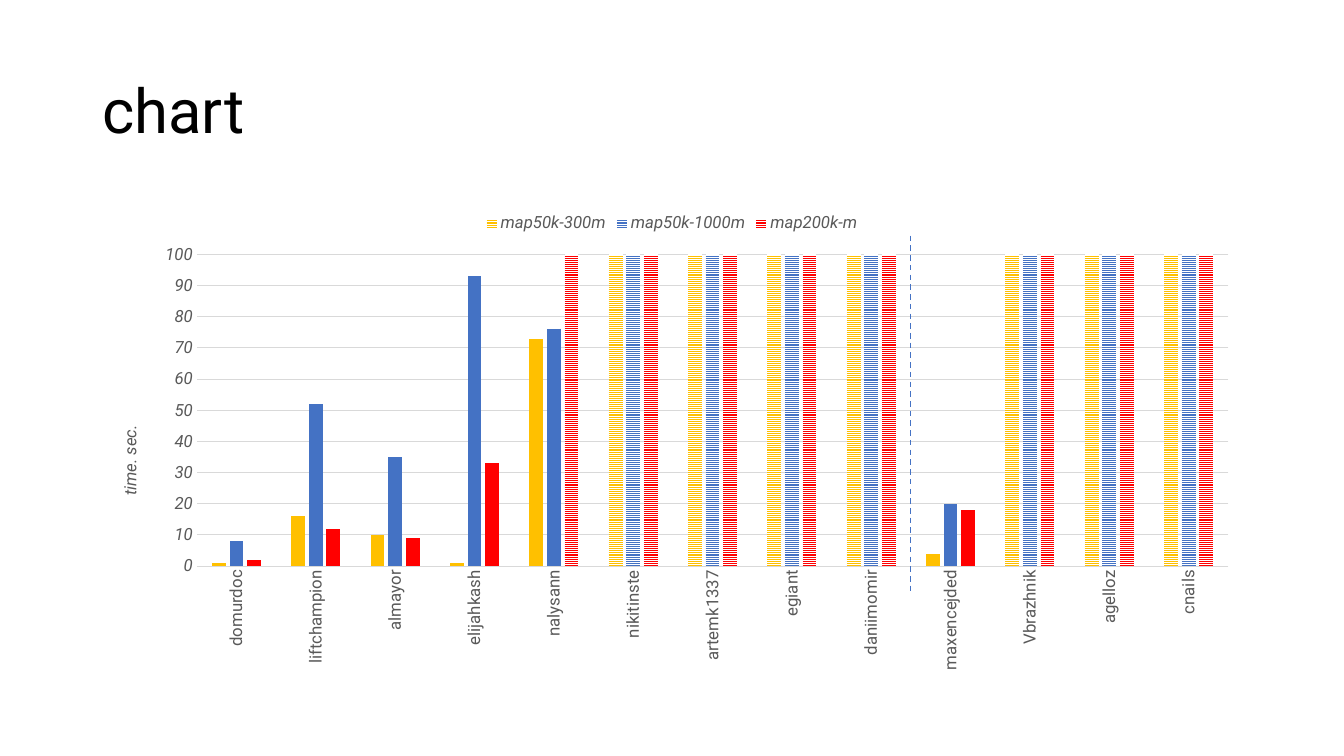
"""Builds a slide with a clustered column chart of solving times per map."""
from lxml import etree
from pptx import Presentation
from pptx.chart.data import CategoryChartData
from pptx.dml.color import RGBColor
from pptx.enum.chart import XL_CHART_TYPE, XL_LEGEND_POSITION, XL_TICK_MARK
from pptx.enum.dml import MSO_LINE, MSO_PATTERN
from pptx.enum.shapes import MSO_CONNECTOR
from pptx.enum.text import MSO_ANCHOR
from pptx.oxml.ns import qn
from pptx.util import Cm, Pt

COLUMN = XL_CHART_TYPE.COLUMN_CLUSTERED
TOP = XL_LEGEND_POSITION.TOP
NONE = XL_TICK_MARK.NONE
STRIPES = MSO_PATTERN.LIGHT_HORIZONTAL
DASH = MSO_LINE.DASH
STRAIGHT = MSO_CONNECTOR.STRAIGHT
MIDDLE = MSO_ANCHOR.MIDDLE

FACE = "Roboto"
LIMIT = 120
COLORS = {"black": "000000", "white": "FFFFFF", "text": "595959", "grid": "D9D9D9",
          "yellow": "FFC000", "blue": "4472C4", "red": "FF0000"}
RGB = {name: RGBColor.from_string(code) for name, code in COLORS.items()}


def style(font, size, color, italic=False):
    for key, value in {"name": FACE, "size": Pt(size), "bold": False, "italic": italic}.items():
        setattr(font, key, value)
    font.color.rgb = RGB[color]


def place(part, spot, **sizes):
    layout = part.find(qn("c:layout"))
    if layout is None:
        layout = etree.Element(qn("c:layout"))
        part.insert(spot, layout)
    manual = etree.SubElement(layout, qn("c:manualLayout"))
    if "w" in sizes:
        etree.SubElement(manual, qn("c:layoutTarget")).set("val", "inner")
    for key in ("x", "y"):
        etree.SubElement(manual, qn(f"c:{key}Mode")).set("val", "edge")
    for key, value in sizes.items():
        etree.SubElement(manual, qn(f"c:{key}")).set("val", str(value))


deck = Presentation()
deck.slide_width, deck.slide_height = Cm(33.87), Cm(19.05)
slide = deck.slides.add_slide(deck.slide_layouts[6])

title = slide.shapes.add_textbox(Cm(2.33), Cm(1.02), Cm(29.21), Cm(3.68)).text_frame
title.word_wrap = True
title.vertical_anchor = MIDDLE
para = title.paragraphs[0]
para.line_spacing = 0.9
run = para.add_run()
run.text = "chart"
style(run.font, 44, "black")

data = CategoryChartData()
data.categories = ["domurdoc", "liftchampion", "almayor", "elijahkash", "nalysann",
                   "nikitinste", "artemk1337", "egiant", "daniimomir", "maxencejded",
                   "Vbrazhnik", "agelloz", "cnails"]
failed = [LIMIT] * 4
last = [LIMIT] * 3
data.add_series("map50k-300m", [1, 16, 10, 1, 73, *failed, 4, *last])
data.add_series("map50k-1000m", [8, 52, 35, 93, 76, *failed, 20, *last])
data.add_series("map200k-m", [2, 12, 9, 33, LIMIT, *failed, 18, *last])
chart = slide.shapes.add_chart(COLUMN, Cm(2.33), Cm(5.08), Cm(29.21), Cm(12.09), data).chart
chart.has_title = False
style(chart.font, 12, "black")
chart.has_legend = True
chart.legend.position = TOP
chart.legend.include_in_layout = False
style(chart.legend.font, 12, "text", True)

plot = chart.plots[0]
for key, value in {"gap_width": 219, "overlap": -27, "vary_by_categories": False}.items():
    setattr(plot, key, value)
for series, color in zip(plot.series, ("yellow", "blue", "red")):
    series.invert_if_negative = False
    fill = series.format.fill
    fill.patterned()
    fill.pattern = STRIPES
    fill.fore_color.rgb = RGB[color]
    fill.back_color.rgb = RGB["white"]
    for index, value in enumerate(series.values):
        if value < LIMIT:
            solid = series.points[index].format.fill
            solid.solid()
            solid.fore_color.rgb = RGB[color]

names, times = chart.category_axis, chart.value_axis
for axis, italic in ((names, False), (times, True)):
    axis.major_tick_mark = axis.minor_tick_mark = NONE
    style(axis.tick_labels.font, 12, "text", italic)
for key, value in {"minimum_scale": 0, "maximum_scale": 100, "major_unit": 10,
                   "has_major_gridlines": True}.items():
    setattr(times, key, value)
times.format.line.fill.background()
for line in (names.format.line, times.major_gridlines.format.line):
    line.color.rgb = RGB["grid"]
    line.width = Pt(0.75)

label = times.axis_title.text_frame
label.text = "time. sec."
style(label.paragraphs[0].runs[0].font, 12, "text", True)
turned = names._element.find(qn("c:txPr")).find(qn("a:bodyPr"))
for body in (turned, label._txBody.find(qn("a:bodyPr"))):
    body.set("rot", "-5400000")
    body.set("vert", "horz")
place(times.axis_title._element, 1, x=0.02, y=0.46)
place(chart._chartSpace.chart.plotArea, 0, x=0.09, y=0.11, w=0.89, h=0.65)

split = slide.shapes.add_connector(STRAIGHT, Cm(22.94), Cm(5.94), Cm(22.94), Cm(14.88))
split.line.color.rgb = RGB["blue"]
split.line.width = Pt(1)
split.line.dash_style = DASH
etree.SubElement(split._element.spPr, qn("a:effectLst"))

deck.save("out.pptx")
